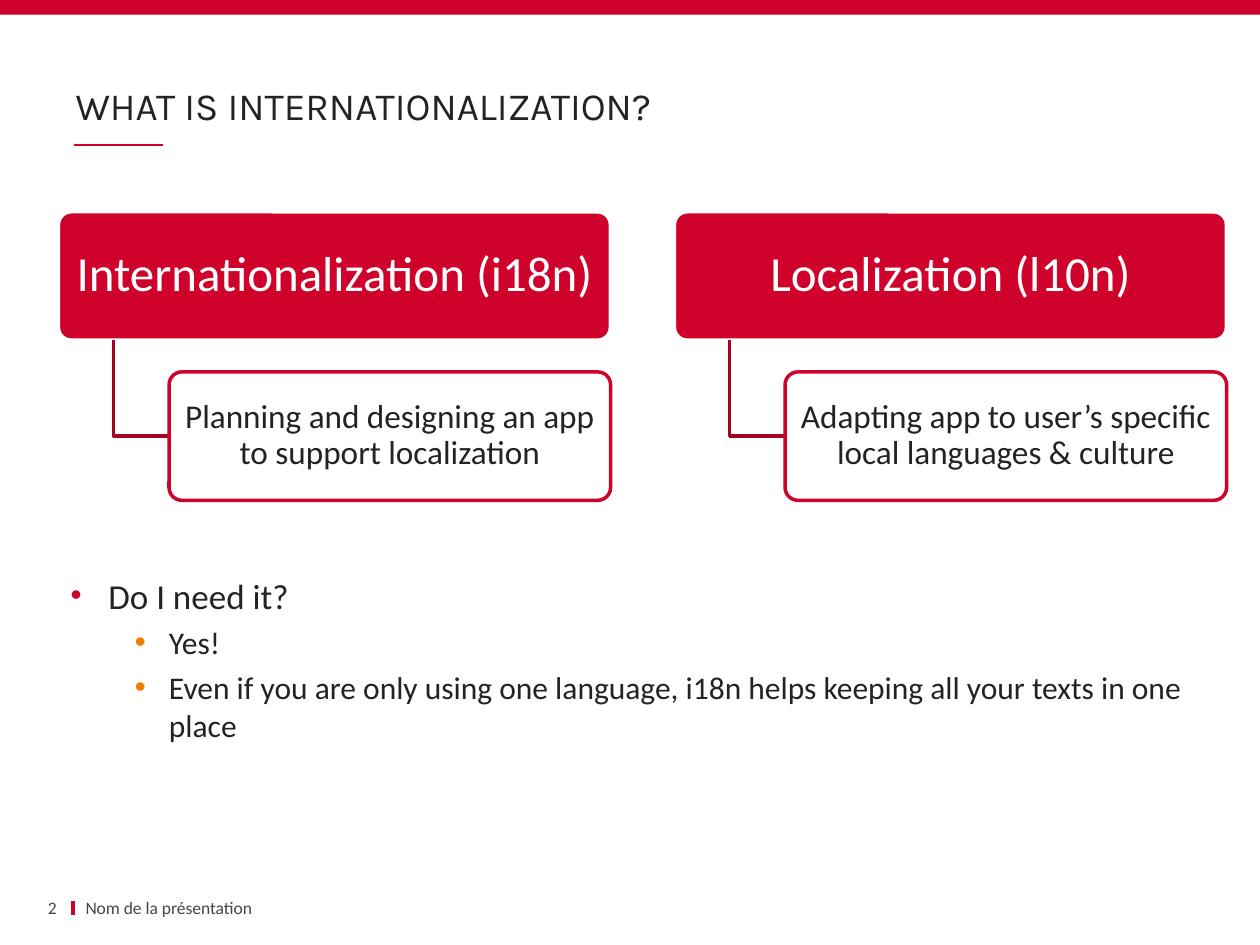
import pptx
import pptx.util
import pptx.dml.color
import pptx.enum.shapes
import pptx.enum.text
import pptx.oxml
import lxml.etree

Pt = pptx.util.Pt
KIND = pptx.enum.shapes.MSO_SHAPE
ALIGN = pptx.enum.text.PP_ALIGN
ANCHOR = pptx.enum.text.MSO_ANCHOR
NS = "http://schemas.openxmlformats.org/drawingml/2006/main"

RED, WINE, ORANGE = "CF022B", "A60222", "F07D00"
DARK, GREY, WHITE = "232323", "464646", "FFFFFF"

TITLE = "WHAT IS INTERNATIONALIZATION?"
FOOTER = "Nom de la présentation"
PAGE = "2"
TERMS = [
    ("Internationalization (i18n)",
     "Planning and designing an app to support localization"),
    ("Localization (l10n)",
     "Adapting app to user’s specific local languages & culture"),
]
POINTS = [
    (0, "Do I need it?"),
    (1, "Yes!"),
    (1, "Even if you are only using one language, "
        "i18n helps keeping all your texts in one place"),
]
LEVELS = [
    dict(size=20, left=21.6, hang=21.6, dot=RED, scale=90),
    dict(size=18, left=56.2, hang=19.4, dot=ORANGE, before=4.1),
]


def color(code):
    return pptx.dml.color.RGBColor.from_string(code)


def node(parent, tag, **attrs):
    return lxml.etree.SubElement(parent, f"{{{NS}}}{tag}", attrs)


def write(para, text, size=18, ink=DARK, font="Calibri", align=ALIGN.LEFT,
          line=1.0, before=0, left=0, hang=0, dot=None, scale=100):
    if dot:
        props = para._p.get_or_add_pPr()
        props.set("marL", str(Pt(left)))
        props.set("indent", str(-Pt(hang)))
        node(node(props, "buClr"), "srgbClr", val=dot)
        node(props, "buSzPct", val=str(scale * 1000))
        node(props, "buFont", typeface="Arial")
        node(props, "buChar", char="•")
    para.alignment = align
    para.line_spacing = line
    para.space_before = Pt(before)
    run = para.add_run()
    run.text = text
    run.font.size = Pt(size)
    run.font.name = font
    run.font.color.rgb = color(ink)


def frame(shape, anchor, side=0, edge=0):
    body = shape.text_frame
    body.word_wrap = True
    body.vertical_anchor = anchor
    body.margin_left = body.margin_right = Pt(side)
    body.margin_top = body.margin_bottom = Pt(edge)
    return body


def label(slide, box, anchor, side=0, edge=0):
    return frame(slide.shapes.add_textbox(*map(Pt, box)), anchor, side, edge)


def block(slide, kind, box, fill, edge=None, alpha=100):
    shape = slide.shapes.add_shape(kind, *map(Pt, box))
    shape.shadow.inherit = False
    shape.fill.solid()
    shape.fill.fore_color.rgb = color(fill)
    if alpha < 100:
        tint = shape.fill._xPr.find(f".//{{{NS}}}srgbClr")
        node(tint, "alpha", val=str(alpha * 1000))
    if edge:
        shape.line.color.rgb = color(edge)
        shape.line.width = Pt(2)
    else:
        shape.line.fill.background()
    return shape


def card(slide, box, text, fill, edge, size, ink, side, alpha=100):
    shape = block(slide, KIND.ROUNDED_RECTANGLE, box, fill, edge, alpha)
    shape.adjustments[0] = 0.1
    body = frame(shape, ANCHOR.MIDDLE, side, 4)
    write(body.paragraphs[0], text, size=size, ink=ink,
          align=ALIGN.CENTER, line=0.9)


def rule(slide, start, end, width):
    line = slide.shapes.add_connector(
        pptx.enum.shapes.MSO_CONNECTOR.STRAIGHT, *map(Pt, start + end))
    line.line.color.rgb = color(RED)
    line.line.width = Pt(width)
    node(line._element.spPr, "effectLst")


def elbow(slide, x, top, right, low):
    path = slide.shapes.build_freeform(Pt(x), Pt(top))
    path.add_line_segments([(Pt(x), Pt(low)), (Pt(right), Pt(low))],
                           close=False)
    shape = path.convert_to_shape()
    shape.shadow.inherit = False
    shape.fill.background()
    shape.line.color.rgb = color(WINE)
    shape.line.width = Pt(2)


def term(slide, x, head, note):
    top, wide, high, step, inset = 121, 315.4, 73.4, 91.5, 63.2
    low = top + step
    card(slide, (x, top, wide, high), head, RED, WHITE, 28, WHITE, 6.5)
    elbow(slide, x + wide / 10, top + high, x + inset, low + high / 2)
    card(slide, (x + inset, low, wide * 0.8, high), note,
         WHITE, RED, 19, DARK, 5, alpha=90)


def main():
    deck = pptx.Presentation()
    deck.slide_width, deck.slide_height = Pt(720), Pt(540)
    slide = deck.slides.add_slide(deck.slide_layouts[6])

    rule(slide, (41.9, 514.8), (41.9, 522.7), 2.25)
    rule(slide, (42.3, 82.8), (93, 82.8), 1)
    block(slide, KIND.RECTANGLE, (0, 0, 720, 8.4), RED)

    body = label(slide, (43.2, 15.1, 633.6, 61.9), ANCHOR.BOTTOM, edge=3.6)
    write(body.paragraphs[0], TITLE, size=22, font="Karla", line=0.9)
    body = label(slide, (41.8, 511.9, 357.8, 13), ANCHOR.MIDDLE, 7.2, 3.6)
    write(body.paragraphs[0], FOOTER, size=10, ink=GREY)
    body = label(slide, (9.4, 511.9, 23, 13), ANCHOR.MIDDLE, edge=3.6)
    write(body.paragraphs[0], PAGE, size=10, ink=GREY, align=ALIGN.RIGHT)

    for i, (head, note) in enumerate(TERMS):
        term(slide, 33.4 + 352 * i, head, note)

    body = label(slide, (40.3, 328, 637.2, 157), ANCHOR.TOP)
    for i, (level, text) in enumerate(POINTS):
        para = body.add_paragraph() if i else body.paragraphs[0]
        para.level = level
        write(para, text, **LEVELS[level])

    deck.save("out.pptx")


if __name__ == "__main__":
    main()
